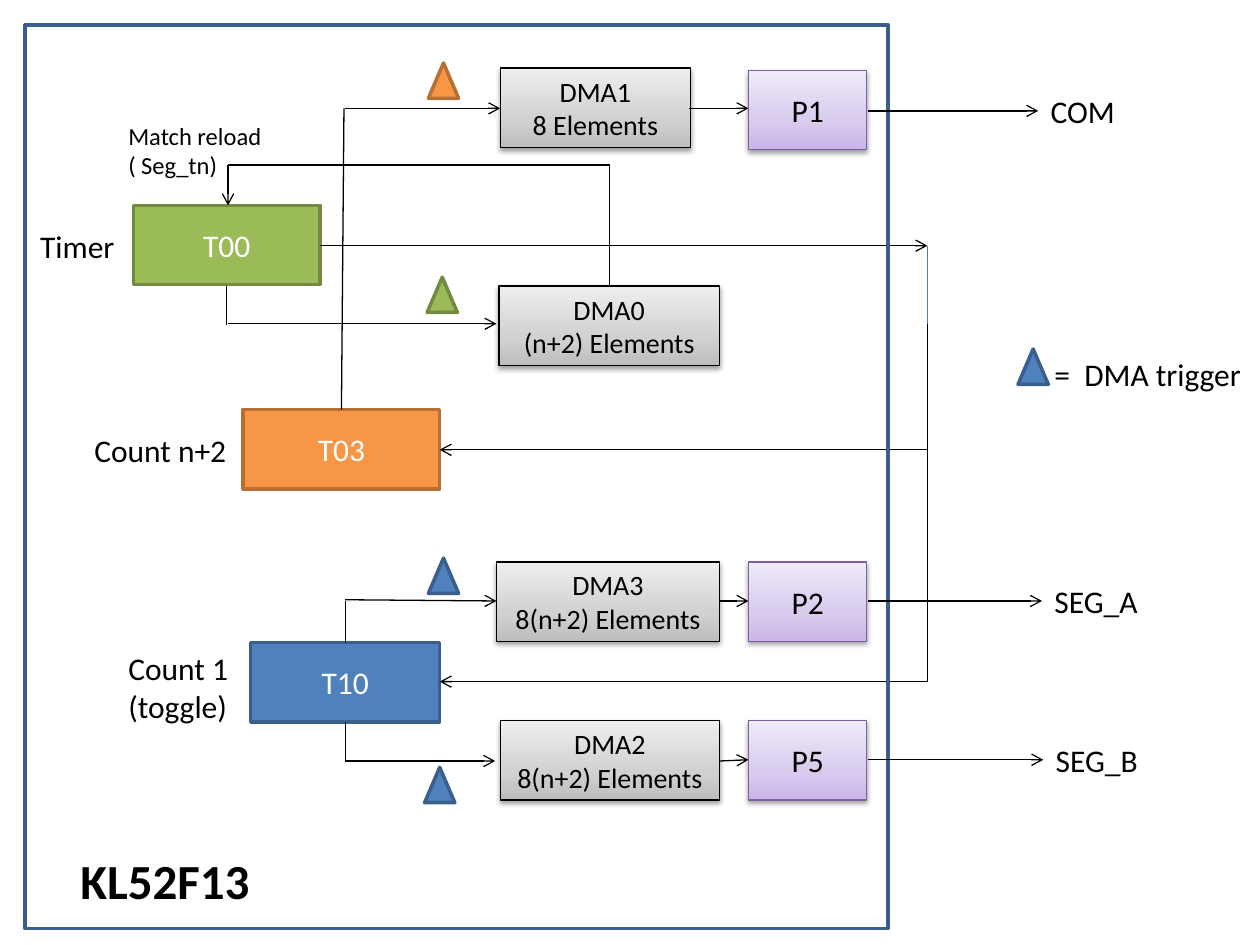
from copy import deepcopy

from lxml import etree
from pptx import Presentation
from pptx.dml.color import RGBColor
from pptx.enum.shapes import MSO_CONNECTOR, MSO_SHAPE
from pptx.enum.text import MSO_ANCHOR, PP_ALIGN
from pptx.oxml.ns import qn
from pptx.util import Inches, Pt

RECTANGLE = MSO_SHAPE.RECTANGLE
TRIANGLE = MSO_SHAPE.ISOSCELES_TRIANGLE
STRAIGHT = MSO_CONNECTOR.STRAIGHT
MIDDLE = MSO_ANCHOR.MIDDLE
CENTER = PP_ALIGN.CENTER

THEME = {
    "font": "Calibri",
    "black": "000000",
    "white": "FFFFFF",
    "link": "4B7EBC",
    "green": ("9BBB59", "738A42"),
    "orange": ("F79646", "B76F34"),
    "blue": ("4F81BD", "3A5F8C"),
    "gray": (("BDBDBD", "D1D1D1", "EEEEEE"), "000000"),
    "purple": (("C9B5E8", "D8CBEE", "F0EAF9"), "7D60A0"),
    "stops": (0, 0.35, 1),
    "thin": 0.75,
    "thick": 2,
    "small": 14,
    "block": 16,
    "body": 18,
    "heading": 28,
}
BOX_HEIGHT = 0.63
PORT_LEFT, PORT_WIDTH = 5.94, 0.94
BUS_X = 7.36


def add_box(kind, left, top, width, height, style, lines=(), size=THEME["body"]):
    fill_color, line_color = THEME[style]
    shaded = isinstance(fill_color, tuple)
    shape = slide.shapes.add_shape(
        kind, Inches(left), Inches(top), Inches(width), Inches(height)
    )
    shape.line.color.rgb = RGBColor.from_string(line_color)
    shape.line.width = Pt(THEME["thin"] if shaded else THEME["thick"])
    shape.shadow.inherit = False
    if shaded:
        shape.fill.gradient()
        shape.fill.gradient_angle = 90
        stop_list = shape.element.spPr.find(qn("a:gradFill")).find(qn("a:gsLst"))
        stop_list.append(deepcopy(stop_list[-1]))
        for stop, color, position in zip(
            shape.fill.gradient_stops, fill_color, THEME["stops"]
        ):
            stop.color.rgb = RGBColor.from_string(color)
            stop.position = position
        effects = shape.element.spPr.find(qn("a:effectLst"))
        shadow = etree.SubElement(
            effects, qn("a:outerShdw"), blurRad=str(Pt(3.1)), dist=str(Pt(1.6)),
            dir="5400000", rotWithShape="0",
        )
        shadow_color = etree.SubElement(shadow, qn("a:srgbClr"), val=THEME["black"])
        etree.SubElement(shadow_color, qn("a:alpha"), val="38000")
    else:
        shape.fill.solid()
        shape.fill.fore_color.rgb = RGBColor.from_string(fill_color)
    if lines:
        frame = shape.text_frame
        frame.text = "\n".join(lines)
        frame.word_wrap = True
        frame.vertical_anchor = MIDDLE
        text_color = THEME["black"] if shaded else THEME["white"]
        for paragraph in frame.paragraphs:
            paragraph.alignment = CENTER
            paragraph.font.name = THEME["font"]
            paragraph.font.size = Pt(size)
            paragraph.font.color.rgb = RGBColor.from_string(text_color)
    return shape


def add_line(start_x, start_y, end_x, end_y, arrow=False, color=THEME["black"]):
    connector = slide.shapes.add_connector(
        STRAIGHT, Inches(start_x), Inches(start_y), Inches(end_x), Inches(end_y)
    )
    connector.line.color.rgb = RGBColor.from_string(color)
    connector.line.width = Pt(THEME["thin"])
    properties = connector.element.spPr
    if arrow:
        etree.SubElement(properties.find(qn("a:ln")), qn("a:tailEnd"), type="arrow")
    etree.SubElement(properties, qn("a:effectLst"))


presentation = Presentation()
presentation.slide_width = Inches(10)
presentation.slide_height = Inches(7.5)
blank_layout = presentation.slide_layouts[6]
slide = presentation.slides.add_slide(blank_layout)

dma_blocks = [
    ("DMA0", "(n+2) Elements", 3.96, 2.27, 1.75),
    ("DMA1", "8 Elements", 3.97, 0.54, 1.51),
    ("DMA2", "8(n+2) Elements", 3.97, 5.72, 1.74),
    ("DMA3", "8(n+2) Elements", 3.94, 4.46, 1.77),
]
for name, elements, left, top, width in dma_blocks:
    add_box(RECTANGLE, left, top, width, BOX_HEIGHT, "gray",
            (name, elements), THEME["block"])

timers = [
    ("T00", 1.06, 1.63, 1.48, "green"),
    ("T03", 1.93, 3.25, 1.56, "orange"),
    ("T10", 1.99, 5.1, 1.5, "blue"),
]
for name, left, top, width, style in timers:
    add_box(RECTANGLE, left, top, width, BOX_HEIGHT, style, (name,))

arrows = [
    (2.74, 0.86, 3.97, 0.86),
    (5.47, 0.86, PORT_LEFT, 0.86),
    (2.54, 1.95, BUS_X, 1.95),
    (BUS_X, 3.57, 3.49, 3.57),
    (BUS_X, 5.41, 3.49, 5.41),
    (1.81, 2.57, 3.94, 2.57),
    (1.81, 1.31, 1.81, 1.63),
    (2.74, 4.76, 3.94, 4.77),
    (2.74, 6.04, 3.93, 6.04),
    (5.71, 4.77, PORT_LEFT, 4.77),
    (5.71, 6.04, PORT_LEFT, 6.03),
]
for ends in arrows:
    add_line(*ends, arrow=True)

plain_lines = [
    (2.73, 0.86, 2.71, 3.25),
    (BUS_X, 2.57, BUS_X, 5.41),
    (1.8, 2.27, 1.8, 2.58),
    (4.84, 2.27, 4.84, 1.31),
    (4.84, 1.31, 1.81, 1.31),
    (2.74, 5.1, 2.74, 4.77),
    (2.74, 5.73, 2.74, 6.04),
]
for ends in plain_lines:
    add_line(*ends)
add_line(BUS_X, 1.95, BUS_X, 2.57, color=THEME["link"])

chip_frame = add_box(RECTANGLE, 0.2, 0.2, 6.85, 7.17, "blue")
chip_frame.fill.background()

ports = [
    ("P1", 0.56, 0.88, 8.24),
    ("P2", 4.46, 4.77, 8.27),
    ("P5", 5.72, 6.03, 8.28),
]
for name, top, output_y, output_x in ports:
    add_box(RECTANGLE, PORT_LEFT, top, PORT_WIDTH, BOX_HEIGHT, "purple", (name,))
    add_line(6.89, output_y, output_x, output_y, arrow=True)

triggers = [
    (8.08, 2.77, "blue"),
    (3.4, 0.5, "orange"),
    (3.39, 2.2, "green"),
    (3.4, 4.43, "blue"),
    (3.37, 6.09, "blue"),
]
for left, top, style in triggers:
    add_box(TRIANGLE, left, top, 0.24, 0.28, style)

labels = [
    ("COM", 8.24, 0.68, 0.96, 0.4, "body"),
    ("SEG_A", 8.27, 4.57, 1.83, 0.4, "body"),
    ("SEG_B", 8.28, 5.83, 1.83, 0.4, "body"),
    ("=  DMA trigger", 8.27, 2.77, 1.73, 0.4, "body"),
    ("Timer", 0.22, 1.75, 0.83, 0.4, "body"),
    ("Count n+2", 0.65, 3.37, 1.3, 0.4, "body"),
    ("Count 1 (toggle)", 0.92, 5.1, 1.07, 0.71, "body"),
    ("Match reload\n( Seg_tn)", 0.92, 0.91, 1.27, 0.57, "small"),
    ("KL52F13", 0.54, 6.7, 2, 0.57, "heading"),
]
for text, left, top, width, height, size in labels:
    label = slide.shapes.add_textbox(
        Inches(left), Inches(top), Inches(width), Inches(height)
    )
    label.text_frame.text = text
    label.text_frame.word_wrap = True
    for paragraph in label.text_frame.paragraphs:
        paragraph.font.name = THEME["font"]
        paragraph.font.size = Pt(THEME[size])
        paragraph.font.bold = size == "heading"
        paragraph.font.color.rgb = RGBColor.from_string(THEME["black"])

presentation.save("out.pptx")
